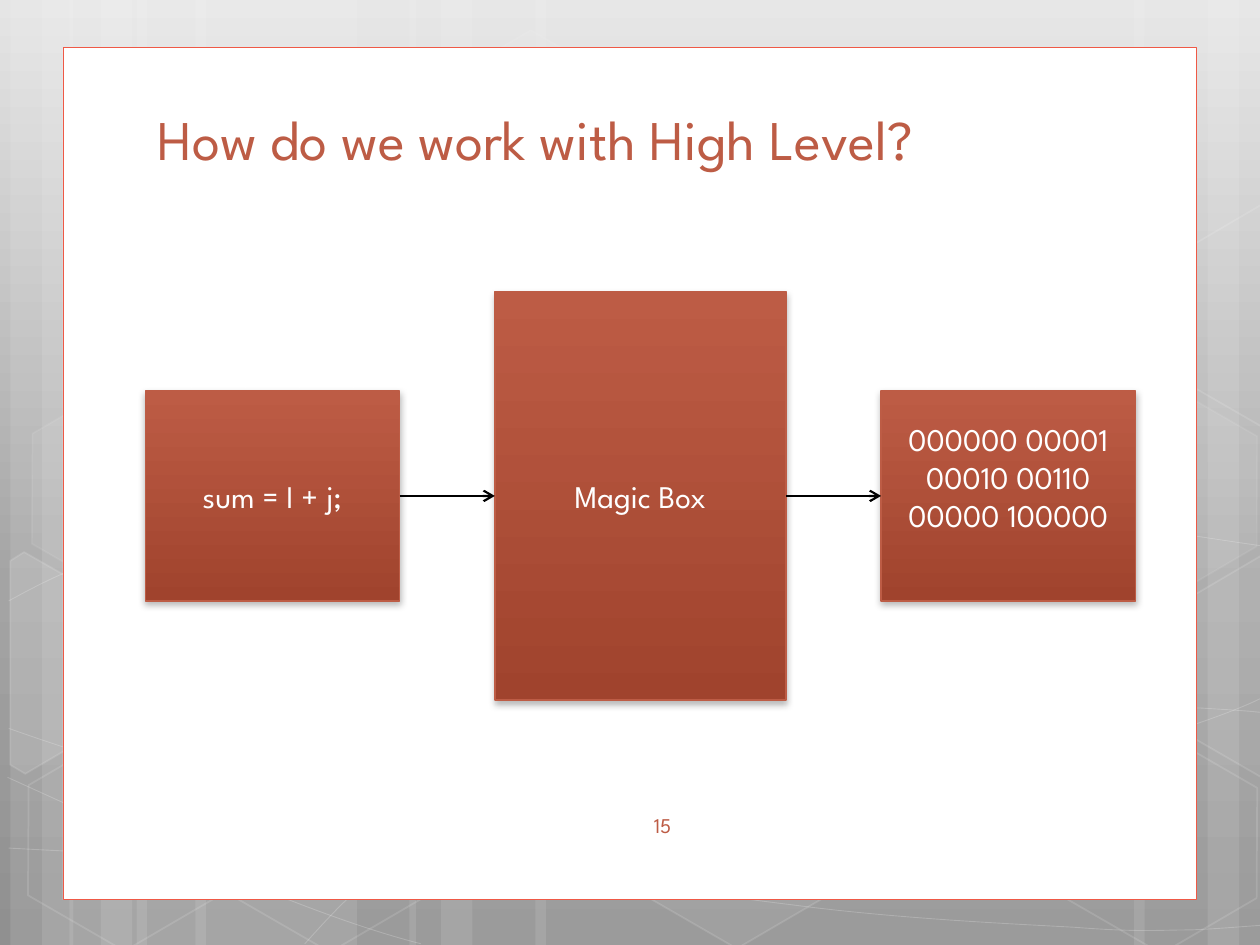
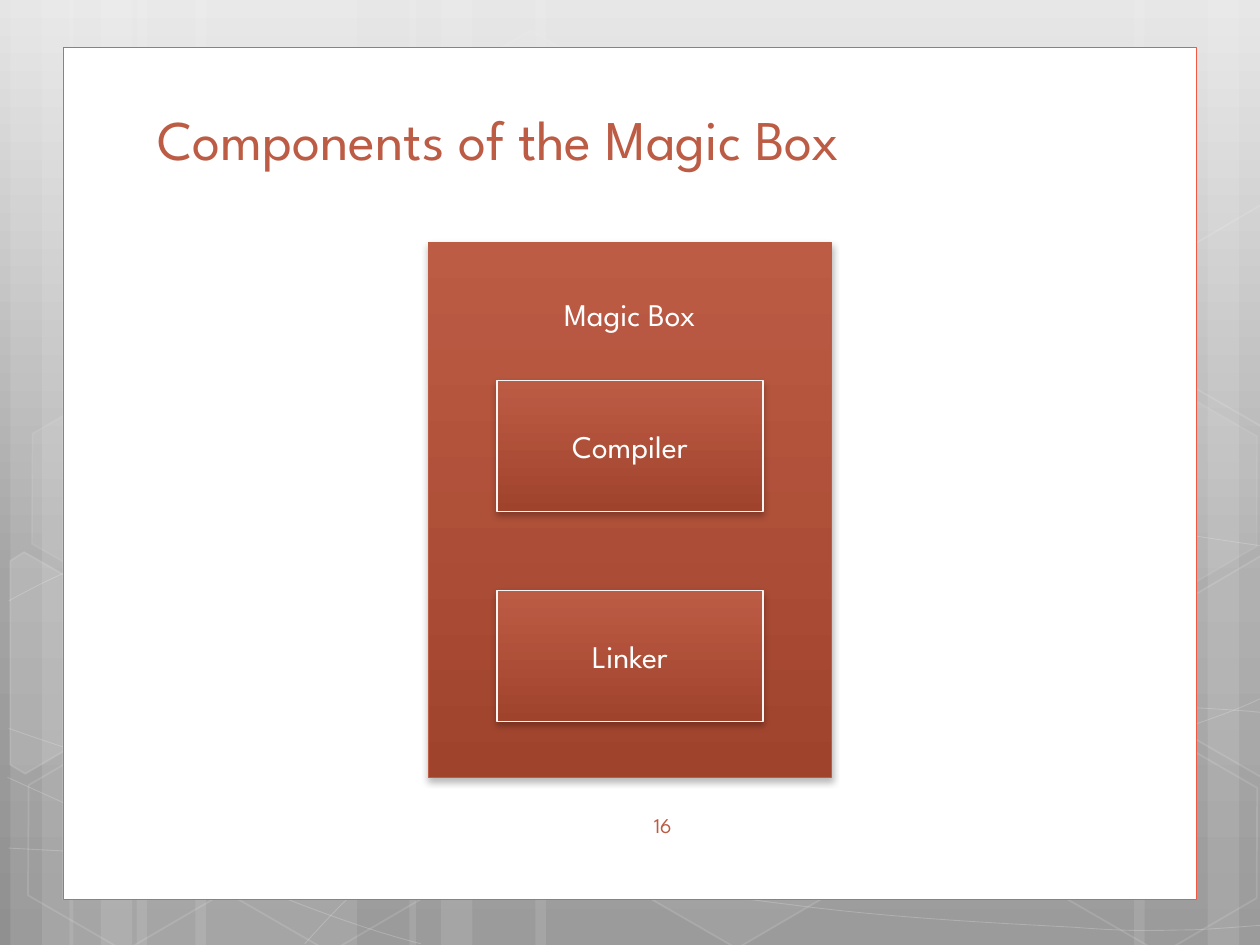
"""Build two slides on how high-level code becomes machine code."""
from copy import deepcopy
from itertools import chain
from math import cos, radians, sin

from lxml import etree
from pptx import Presentation
from pptx.dml.color import RGBColor
from pptx.enum import shapes, text
from pptx.oxml.ns import qn
from pptx.util import Pt

FONT = "League Spartan"
RUST = RGBColor(0xBD, 0x5C, 0x45)
BRICK = RGBColor(0xA0, 0x43, 0x2D)
CORAL = RGBColor(0xEF, 0x59, 0x46)
WHITE = RGBColor(0xFF, 0xFF, 0xFF)
PALE = RGBColor(0xF5, 0xF5, 0xF5)
BLACK = RGBColor(0, 0, 0)
SKY = [(0, RGBColor(0xE5, 0xE5, 0xE5)), (0.62, RGBColor(0xA4, 0xA4, 0xA4)),
       (1, RGBColor(0x90, 0x90, 0x90))]
CLAY = [(0, RUST), (1, BRICK)]

WIDE, HIGH = 720, 540
PANEL = (36, 27.4, 648, 486.7)
TITLE = (82.8, 56.9, 565.2, 44.6)
NUMBER = (366.5, 460.8, 282.2, 28.8)

FLOW = {
    "title": "How do we work with High Level?",
    "page": "15",
    "cards": [("sum = I + j;", 145.4, 120, 3.6),
              ("Magic Box", 166.3, 233.3, 3.6),
              ("000000 00001 00010 00110 00000 100000", 145.4, 120, 25.3)],
    "left": 83, "middle": 283.4, "gap": 54.4,
}
PARTS = {
    "title": "Components of the Magic Box",
    "page": "16",
    "outer": (244.8, 138.7, 230.4, 305.5),
    "label": ("Magic Box", (255.6, 164.9, 208.8, 29)),
    "cards": ["Compiler", "Linker"],
    "first": (284, 217.4, 152, 74.8), "step": 120,
}

BANDS = [(78, 126, 0), (6, 36, 0), (24, 60, 0), (111.6, 126, 0),
         (39.6, 36, 0), (57.6, 60, 0), (528, 126, 180), (690, 36, 180),
         (648, 60, 180), (306, 222, 0), (234, 36, 0), (252, 60, 0)]
CURVES = [
    [[(5, 484.6)], [(43.9, 486.7), (82.8, 488.9), (136.8, 488.2)],
     [(190.8, 487.4), (257.8, 486), (329.8, 478.8)],
     [(401.8, 471.6), (504, 457.9), (570.2, 444.2)],
     [(635.8, 430.6), (703.4, 409), (725, 396.7)]],
    [[(5, 343.4)], [(25.9, 331.9), (46.8, 321.1), (87.1, 310.3)],
     [(128.2, 299.5), (186.5, 283.7), (249.8, 278.6)],
     [(313.9, 273.6), (391.7, 272.9), (470.9, 278.6)],
     [(550.1, 284.4), (681.8, 306.7), (725, 312.5)]],
    [[(4.3, 444.2)], [(91.4, 483.8), (177.8, 523.4), (240.5, 539.3)]],
    [[(5, 416.2)], [(27.4, 424.1), (50.4, 432), (92.2, 443.5)],
     [(133.9, 454.3), (196.6, 472.3), (257, 484.6)],
     [(316.8, 496.8), (392.4, 509.8), (452.2, 517)],
     [(511.9, 524.9), (576, 527.8), (614.2, 529.9)],
     [(651.6, 532.8), (661.7, 531.4), (680.4, 531.4)],
     [(699.1, 530.6), (712.1, 529.2), (725, 528.5)]],
    [[(174.2, 539.3)], [(187.2, 524.9), (200.2, 510.5), (217.4, 497.5)],
     [(234.7, 484.6), (259.2, 470.2), (279.4, 460.1)],
     [(299.5, 450), (311.8, 445.7), (338.4, 438.5)],
     [(364.3, 431.3), (412.6, 421.2), (437.8, 416.2)],
     [(463.7, 411.1), (467.3, 411.1), (489.6, 409.7)],
     [(511.9, 407.5), (547.2, 405.4), (571.7, 404.6)],
     [(596.9, 403.9), (637.9, 404.6), (637.9, 404.6)],
     [(686.2, 404.6)],
     [(699.1, 405.4), (711.4, 406.1), (717.8, 406.8)],
     [(724.3, 407.5), (722.2, 406.8), (724.3, 407.5)]],
]
HEXES = [(240.5, 25.9, 4, 8), (357.8, 424.1, 6, 12), (7.9, 425.5, 0, 12),
         (10.1, 224.6, 7, 8), (125.3, 426.2, 0, 12), (542.2, 326.2, 10, 12),
         (600.5, 427, 0, 12), (600.5, 226.1, 7, 8)]
WEST = [(5.8, 320.4), (13.7, 315.4), (69.1, 347), (68.4, 410.4),
        (14.4, 442.1), (5.8, 437)]
EAST = [(666.7, 349.2), (720.7, 317.5), (726.5, 321.1), (726.5, 441.4),
        (721.4, 444.2), (666.7, 412.6)]
SHARDS = [(WEST, (25.9, 385.2), 0, 10), (EAST, (709.2, 374.4), 0, 4),
          (EAST, (709.2, 374.4), -200.5, 0)]
TILT = 30


def points(box):
    return [Pt(side) for side in box]


def shade(fill, node, stops):
    fill.gradient()
    fill.gradient_angle = 270
    ramp = node.xpath(".//a:gsLst")[0]
    while len(ramp) < len(stops):
        ramp.append(deepcopy(ramp[0]))
    for stop, (place, color) in zip(fill.gradient_stops, stops):
        stop.position = place
        stop.color.rgb = color


def fade(form, route, share):
    for node in form.element.spPr.xpath(route + "a:solidFill/a:srgbClr"):
        etree.SubElement(node, qn("a:alpha"), val=str(share * 1000))


def paint(form, fill, line=0, width=1):
    form.shadow.inherit = False
    if fill:
        form.fill.solid()
        form.fill.fore_color.rgb = WHITE
        fade(form, "", fill)
    else:
        form.fill.background()
    if line:
        form.line.color.rgb = WHITE
        form.line.width = Pt(width)
        fade(form, "a:ln/", line)
    else:
        form.line.fill.background()


def trace(tree, spots, close):
    spots = [points(spot) for spot in spots]
    maker = tree.build_freeform(*spots[0], scale=1.0)
    maker.add_line_segments(spots[1:], close=close)
    return maker.convert_to_shape()


def bend(tree, strokes):
    form = trace(tree, list(chain(*strokes)), False)
    nodes = iter(form.element.xpath(".//a:lnTo"))
    for stroke in strokes[1:]:
        lead, *rest = [next(nodes) for _ in stroke]
        if rest:
            lead.tag = qn("a:cubicBezTo")
        for node in rest:
            lead.append(node[0])
            node.getparent().remove(node)
    return form


def turn(spot, hub, angle):
    x, y = spot[0] - hub[0], spot[1] - hub[1]
    c, s = cos(radians(angle)), sin(radians(angle))
    return hub[0] + c * x - s * y, hub[1] + s * x + c * y


def block(tree, box, kind=shapes.MSO_SHAPE.RECTANGLE):
    return tree.add_shape(kind, *points(box))


def scene(slide, layout):
    group = slide.shapes.add_group_shape()
    tree = group.shapes
    for left, width, angle in BANDS:
        form = block(tree, (left, 0, width, HIGH))
        form.rotation = angle
        paint(form, 10)
    for strokes in CURVES:
        paint(bend(tree, strokes), 0, 20, 0.5)
    for left, top, fill, line in HEXES:
        form = block(tree, (left, top, 126, 109.4), shapes.MSO_SHAPE.HEXAGON)
        form.adjustments[0] = 0.285
        form.rotation = TILT
        paint(form, fill, line)
    for spots, (x, y), drop, fill in SHARDS:
        hub = (x, y + drop)
        flat = [turn((a, b + drop), hub, -TILT) for a, b in spots]
        form = trace(tree, flat, True)
        form.rotation = TILT
        paint(form, fill, 12)
    panel = block(slide.shapes, PANEL)
    panel.shadow.inherit = False
    panel.fill.solid()
    panel.fill.fore_color.rgb = WHITE
    panel.line.color.rgb = CORAL
    panel.line.width = Pt(0.5)
    for holder in list(layout.placeholders)[1:]:
        layout.shapes.element.remove(holder.element)
    for i, form in enumerate((group, panel)):
        for k, node in enumerate(form.element.xpath(".//p:cNvPr")):
            node.set("id", str(100 * (i + 1) + k))
        layout.shapes.element.insert(2 + i, form.element)
    shade(layout.background.fill, layout.element, SKY)


def write(form, words, size, color, align, anchor):
    frame = form.text_frame
    frame.word_wrap = True
    frame.auto_size = text.MSO_AUTO_SIZE.NONE
    frame.vertical_anchor = anchor
    para = frame.paragraphs[0]
    para.alignment = align
    run = para.add_run()
    run.text = words
    run.font.name = FONT
    run.font.size = Pt(size)
    run.font.color.rgb = color


def card(tree, box, words="", edge=RUST, foot=3.6):
    form = block(tree, box)
    shade(form.fill, form.element, CLAY)
    form.line.color.rgb = edge
    form.line.width = Pt(0.75)
    form.shadow.inherit = False
    glow = etree.SubElement(form.element.spPr.find(qn("a:effectLst")),
                            qn("a:outerShdw"), blurRad=str(Pt(4)),
                            dist=str(Pt(2)), dir="5400000", rotWithShape="0")
    tint = etree.SubElement(glow, qn("a:srgbClr"), val=str(BLACK))
    etree.SubElement(tint, qn("a:alpha"), val="28000")
    if words:
        write(form, words, 18, WHITE, text.PP_ALIGN.CENTER,
              text.MSO_ANCHOR.MIDDLE)
        form.text_frame.margin_bottom = Pt(foot)
    return form


def label(tree, box, words, size, color, align):
    form = tree.add_textbox(*points(box))
    write(form, words, size, color, align, text.MSO_ANCHOR.TOP)


def arrow(tree, start, end):
    line = tree.add_connector(shapes.MSO_CONNECTOR.STRAIGHT, 0, 0, 0, 0)
    line.begin_connect(start, 3)
    line.end_connect(end, 1)
    line.line.color.rgb = BLACK
    line.line.width = Pt(1.25)
    stroke = line.element.spPr.find(qn("a:ln"))
    etree.SubElement(stroke, qn("a:tailEnd"), type="arrow")
    etree.SubElement(line.element.spPr, qn("a:effectLst"))


def head(slide, data):
    title = slide.shapes.title
    title.left, title.top, title.width, title.height = points(TITLE)
    write(title, data["title"], 32, RUST, text.PP_ALIGN.LEFT,
          text.MSO_ANCHOR.BOTTOM)
    label(slide.shapes, NUMBER, data["page"], 12, RUST, text.PP_ALIGN.LEFT)


def flow(slide, data):
    head(slide, data)
    left, cards = data["left"], []
    for words, width, height, foot in data["cards"]:
        box = (left, data["middle"] - height / 2, width, height)
        cards.append(card(slide.shapes, box, words, foot=foot))
        left += width + data["gap"]
    for start, end in zip(cards, cards[1:]):
        arrow(slide.shapes, start, end)


def nest(slide, data):
    head(slide, data)
    tree = slide.shapes.add_group_shape().shapes
    card(tree, data["outer"])
    words, box = data["label"]
    label(tree, box, words, 18, WHITE, text.PP_ALIGN.CENTER)
    left, top, width, height = data["first"]
    for i, words in enumerate(data["cards"]):
        card(tree, (left, top + i * data["step"], width, height), words, PALE)


def main():
    deck = Presentation()
    deck.slide_width, deck.slide_height = Pt(WIDE), Pt(HIGH)
    layout = deck.slide_layouts[5]
    first, second = [deck.slides.add_slide(layout) for _ in range(2)]
    scene(first, layout)
    flow(first, FLOW)
    nest(second, PARTS)
    deck.save("out.pptx")


main()
